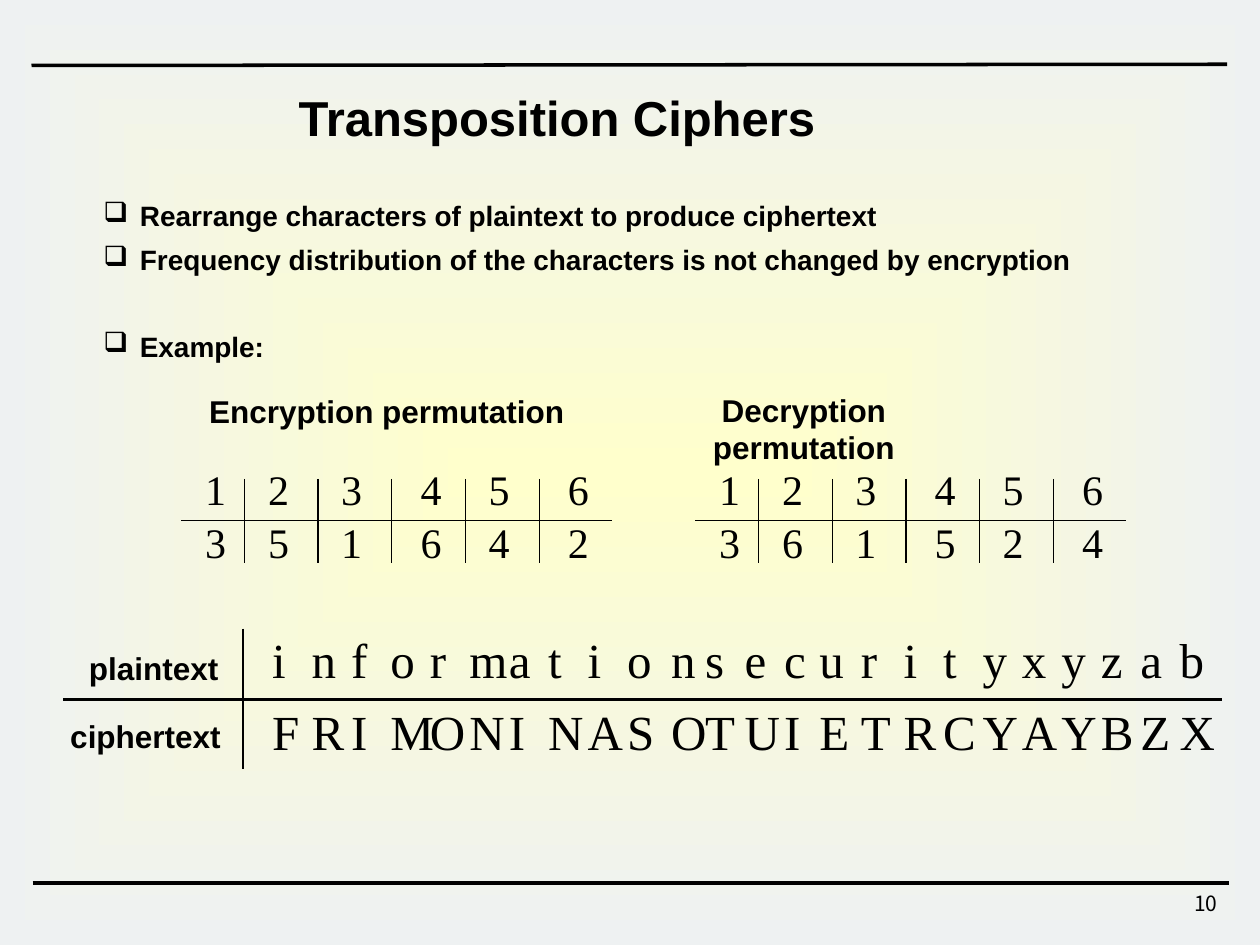
from typing import NamedTuple

from lxml import etree
from pptx import Presentation
from pptx.dml.color import RGBColor
from pptx.enum.shapes import MSO_CONNECTOR, MSO_SHAPE
from pptx.enum.text import MSO_ANCHOR, PP_ALIGN
from pptx.oxml.ns import qn
from pptx.util import Inches, Pt

STRAIGHT = MSO_CONNECTOR.STRAIGHT
RECTANGLE = MSO_SHAPE.RECTANGLE
MIDDLE = MSO_ANCHOR.MIDDLE
LEFT, CENTER, RIGHT = PP_ALIGN.LEFT, PP_ALIGN.CENTER, PP_ALIGN.RIGHT

BLACK = RGBColor(0x00, 0x00, 0x00)
PALE_YELLOW = RGBColor(0xFF, 0xFF, 0xCC)
PALE_GREY = RGBColor(0xEE, 0xF1, 0xF2)

SANS, SERIF, NUMBER_FONT = "Arial", "Times New Roman", "Noto Sans CJK KR"
SLIDE_WIDTH, SLIDE_HEIGHT = 10, 7.5
NO_GRID_STYLE = "{2D5ABB26-0587-4C30-8999-92F81FD0307C}"
BULLET_INDENT = Inches(0.29)


class Box(NamedTuple):
    left: float
    top: float
    width: float
    height: float


class Margins(NamedTuple):
    left: float = 0
    top: float = 0
    right: float = 0
    bottom: float = 0


class Style(NamedTuple):
    font: str
    size: float
    bold: bool = False
    align: PP_ALIGN = LEFT


class Label(NamedTuple):
    text: str
    box: Box


class Permutation(NamedTuple):
    left: float
    rows: tuple[str, str]


NO_MARGINS = Margins()
DEFAULT_MARGINS = Margins(0.1, 0.05, 0.1, 0.05)
TITLE = Style(SANS, 28, True, CENTER)
BODY = Style(SANS, 16, True)
LABEL = Style(SANS, 18, True, CENTER)
DIGIT = Style(SERIF, 24)
LETTER = Style(SERIF, 28)
PAGE_NUMBER = Style(NUMBER_FONT, 12, align=RIGHT)

BULLETS = (
    "Rearrange characters of plaintext to produce ciphertext",
    "Frequency distribution of the characters is not changed by encryption",
    "Example:",
)
LABELS = (
    Label("Encryption permutation", Box(1.62, 3.11, 2.9, 0.3)),
    Label("Decryption permutation", Box(5.58, 3.1, 1.6, 0.6)),
    Label("plaintext", Box(0.67, 5.15, 1.1, 0.3)),
    Label("ciphertext", Box(0.51, 5.69, 1.29, 0.3)),
)

PERMUTATIONS = (
    Permutation(1.44, ("123456", "351642")),
    Permutation(5.52, ("123456", "361524")),
)
PERMUTATION_WIDTH = 3.42
DIGIT_OFFSETS = (0.09, 0.59, 1.17, 1.8, 2.34, 2.97)
DIGIT_TOPS = (3.63, 4.05)
FIRST_DIVIDER, DIVIDER_PITCH = 0.5, 0.585

CIPHER_ROWS = ("informationsecurityxyzab", "FRIMONINASOTUIETRCYAYBZX")
CIPHER_BOX = Box(2.06, 4.97, 7.52, 1.13)
SPECIAL_WIDTHS = {9: 0.35, 10: 0.27, 13: 0.28, 14: 0.33, 15: 0.34}


def style_paragraph(paragraph, style: Style) -> None:
    paragraph.alignment = style.align
    for run in paragraph.runs:
        run.font.name = style.font
        run.font.size = Pt(style.size)
        run.font.bold = style.bold
        run.font.color.rgb = BLACK


def add_text(shapes, text: str, box: Box, style: Style,
             margins: Margins = DEFAULT_MARGINS):
    text_frame = shapes.add_textbox(*map(Inches, box)).text_frame
    text_frame.word_wrap = True
    text_frame.margin_left = Inches(margins.left)
    text_frame.margin_top = Inches(margins.top)
    text_frame.margin_right = Inches(margins.right)
    text_frame.margin_bottom = Inches(margins.bottom)
    text_frame.text = text
    for paragraph in text_frame.paragraphs:
        style_paragraph(paragraph, style)
    return text_frame


def add_line(shapes, x1: float, y1: float, x2: float, y2: float, width: float) -> None:
    line = shapes.add_connector(STRAIGHT, *map(Inches, (x1, y1, x2, y2)))
    line.line.color.rgb = BLACK
    line.line.width = Pt(width)
    etree.SubElement(line.element.spPr, qn("a:effectLst"))


def add_background(shapes) -> None:
    """Fill the slide with a gradient that spreads from its centre."""
    background = shapes.add_shape(RECTANGLE, 0, 0, Inches(SLIDE_WIDTH), Inches(SLIDE_HEIGHT))
    background.shadow.inherit = False
    background.line.fill.background()
    background.fill.gradient()
    for stop, color in zip(background.fill.gradient_stops, (PALE_YELLOW, PALE_GREY)):
        stop.color.rgb = color
    gradient = background.element.spPr.find(qn("a:gradFill"))
    gradient.remove(gradient.find(qn("a:lin")))
    spread = etree.SubElement(gradient, qn("a:path"), {"path": "shape"})
    etree.SubElement(spread, qn("a:fillToRect"), dict.fromkeys("ltrb", "50000"))


def add_bullets(shapes) -> None:
    text_frame = add_text(shapes, "\n".join(BULLETS), Box(0.82, 1.5, 8.29, 1.74), BODY, NO_MARGINS)
    for paragraph in text_frame.paragraphs:
        paragraph.line_spacing = 1.3
        properties = paragraph._p.get_or_add_pPr()
        properties.set("marL", str(BULLET_INDENT))
        properties.set("indent", str(-BULLET_INDENT))
        etree.SubElement(properties, qn("a:buChar"), {"char": "❑"})
    text_frame.paragraphs[-1].space_before = Pt(24.5)


def add_permutation(shapes, permutation: Permutation) -> None:
    group = shapes.add_group_shape().shapes
    left = permutation.left
    add_line(group, left, 4.13, left + PERMUTATION_WIDTH, 4.13, 0.75)
    for index in range(len(DIGIT_OFFSETS) - 1):
        x = left + FIRST_DIVIDER + index * DIVIDER_PITCH
        add_line(group, x, 3.8, x, 4.47, 0.75)
    for top, digits in zip(DIGIT_TOPS, permutation.rows):
        for offset, digit in zip(DIGIT_OFFSETS, digits):
            add_text(group, digit, Box(left + offset, top, 0.37, 0.5), DIGIT)


def add_cipher_table(shapes) -> None:
    column_count = len(CIPHER_ROWS[0])
    frame = shapes.add_table(len(CIPHER_ROWS), column_count, *map(Inches, CIPHER_BOX))
    table = frame.table
    table.first_row = table.horz_banding = False
    for style_id in frame.element.iter(qn("a:tableStyleId")):
        style_id.text = NO_GRID_STYLE
    regular_width = ((CIPHER_BOX.width - sum(SPECIAL_WIDTHS.values()))
                     / (column_count - len(SPECIAL_WIDTHS)))
    for index, column in enumerate(table.columns):
        column.width = Inches(SPECIAL_WIDTHS.get(index, regular_width))
    for row, letters in zip(table.rows, CIPHER_ROWS):
        for cell, letter in zip(row.cells, letters):
            cell.fill.background()
            cell.vertical_anchor = MIDDLE
            cell.text_frame.text = letter
            style_paragraph(cell.text_frame.paragraphs[0], LETTER)


def main() -> None:
    presentation = Presentation()
    presentation.slide_width = Inches(SLIDE_WIDTH)
    presentation.slide_height = Inches(SLIDE_HEIGHT)
    shapes = presentation.slides.add_slide(presentation.slide_layouts[6]).shapes

    add_background(shapes)
    add_line(shapes, 0.25, 0.52, 9.74, 0.51, 2)
    add_line(shapes, 0.26, 7.01, 9.75, 7.01, 2)
    add_text(shapes, "10", Box(7.68, 7.02, 2.08, 0.33), PAGE_NUMBER)
    title = add_text(shapes, "Transposition Ciphers", Box(0.6, 0.71, 7.64, 0.77), TITLE,
                     Margins(0.09, 0.04, 0.09, 0.04))
    title.paragraphs[0].line_spacing = 0.9
    add_bullets(shapes)
    for permutation in PERMUTATIONS:
        add_permutation(shapes, permutation)
    add_cipher_table(shapes)
    for label in LABELS:
        add_text(shapes, label.text, label.box, LABEL, NO_MARGINS)
    add_line(shapes, 0.5, 5.55, 9.7, 5.55, 1.5)
    add_line(shapes, 1.93, 4.99, 1.93, 6.1, 1.5)

    presentation.save("out.pptx")


if __name__ == "__main__":
    main()
